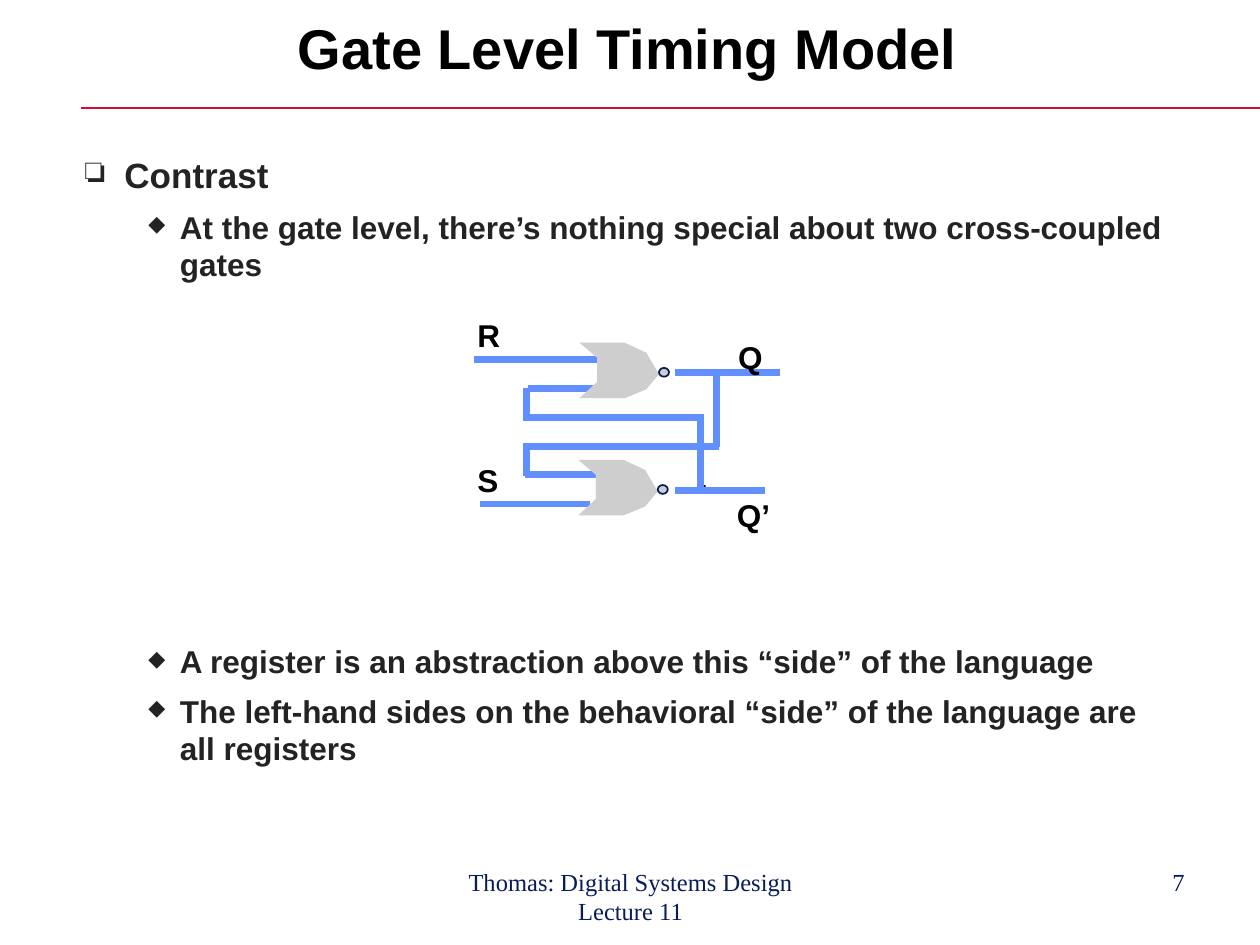
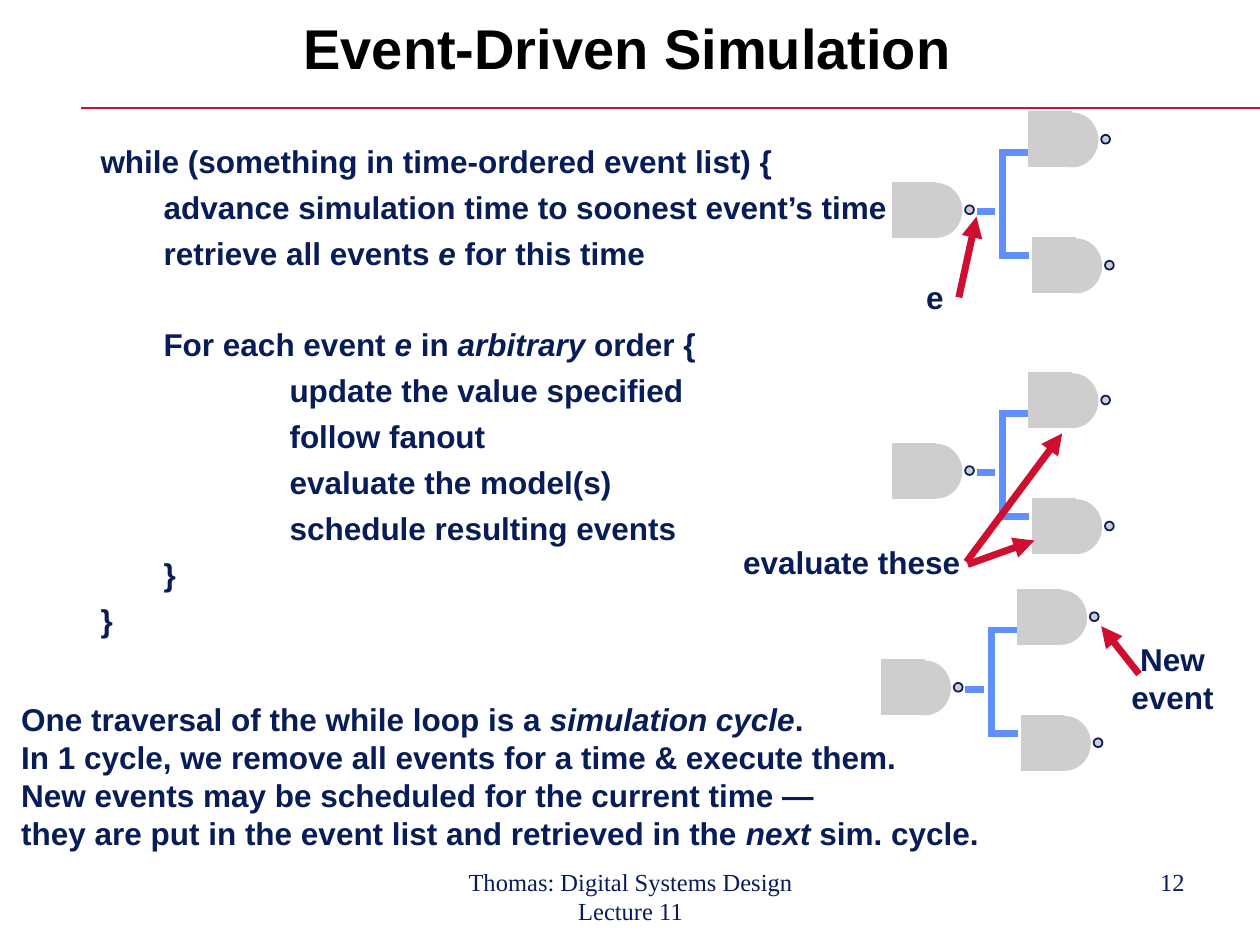
import lxml.etree
import pptx
import pptx.dml.color
import pptx.enum.shapes
import pptx.enum.text
import pptx.oxml.ns
import pptx.util

Inches = pptx.util.Inches
Pt = pptx.util.Pt
ALIGN = pptx.enum.text.PP_ALIGN
SHAPE = pptx.enum.shapes.MSO_SHAPE


class Theme:
    black, body, navy = "000000", "232323", "081D58"
    red, wire, gate = "CF0E30", "618FFD", "CECECE"
    title = dict(name="Arial", size=Pt(32), bold=True, color=black)
    heading = dict(name="Arial", size=Pt(20), bold=True, color=body)
    bullet = dict(name="Arial", size=Pt(18), bold=True, color=body)
    pin = dict(name="Arial", size=Pt(18), bold=True, color=black)
    note = dict(name="Arial", size=Pt(18), bold=True, color=navy)
    footer = dict(name="Times New Roman", size=Pt(14), bold=False, color=navy)
    thick, thin = 4, 1


FOOTER = "Thomas: Digital Systems Design Lecture 11"
FOOTER_BOX = (3.42, 6.83, 3.17, 0.52)
NUMBER_BOX = (7.17, 6.83, 2.33, 0.52)
TITLE_BOX = (0.68, 0.16, 8.6, 0.51)
TITLE_RULE = [(0.64, 0.86), (10, 0.86)]

CONTRAST_BOX = (0.58, 1.17, 8.83, 5.75)
CONTRAST = [
    ("heading", 0, "Contrast"),
    ("bullet", 6.8, "At the gate level, there’s nothing special about two cross-coupled gates"),
    ("bullet", 205, "A register is an abstraction above this “side” of the language"),
    ("bullet", 6.8, "The left-hand sides on the behavioral “side” of the language are all registers"),
]
BULLETS = {"heading": ("❏", 100, 0.31, 0.31), "bullet": ("◆", 70, 0.75, 0.25)}

PIN_SIZE = (0.65, 0.37)
LATCH_PINS = [
    ("R", (3.69, 2.49)),
    ("S", (3.69, 3.64)),
    ("Q", (5.76, 2.67)),
    ("Q’", (5.75, 3.92)),
]
LATCH_WIRES = [
    [(3.76, 2.85), (4.74, 2.85)],
    [(3.81, 4), (4.68, 4)],
    [(5.36, 2.96), (6.19, 2.96)],
    [(4.17, 3.77), (4.73, 3.77)],
    [(5.69, 2.98), (5.69, 3.55)],
    [(4.18, 3.55), (4.18, 3.78)],
    [(4.15, 3.54), (5.71, 3.54)],
    [(4.19, 3.08), (4.71, 3.08)],
    [(5.36, 3.89), (5.54, 3.89)],
    [(4.18, 3.08), (4.18, 3.31), (5.56, 3.31), (5.56, 3.89), (5.79, 3.89)],
    [(5.64, 3.89), (6.07, 3.89)],
]
LATCH_JOINT = (5.54, 3.85, 0.06, 0.06)
NOR_ORIGINS = [(4.6, 2.72), (4.59, 3.65)]
NOR_OUTLINE = [(0.36, 0), (0.53, 0.08), (0.63, 0.25), (0.53, 0.37), (0.36, 0.44),
               (0, 0.44), (0.14, 0.31), (0.14, 0.12), (0, 0)]
NOR_BUBBLE = (0.63, 0.2, 0.08, 0.07)

LOOP_BOX = (0.2, 1.11, 7.56, 4.17)
LOOP = [
    (0.5, 0, "while (something in time-ordered event list) {"),
    (1, 6.8, "advance simulation time to soonest event’s time"),
    (1, 6.8, "retrieve all events *e* for this time"),
    (1, 33, "For each event *e* in *arbitrary* order {"),
    (2, 6.8, "update the value specified"),
    (2, 6.8, "follow fanout"),
    (2, 6.8, "evaluate the model(s)"),
    (2, 6.8, "schedule resulting events"),
    (1, 6.8, "}"),
    (0.5, 6.8, "}"),
]
CYCLE_BOX = (0.07, 5.51, 9.82, 1.3)
CYCLE = [
    "One traversal of the while loop is a *simulation cycle*.",
    "In 1 cycle, we remove all events for a time & execute them.",
    "New events may be scheduled for the current time —",
    "they are put in the event list and retrieved in the *next* sim. cycle.",
]
FANOUT_ORIGINS = [(7.11, 0.91), (7.11, 2.98), (7.02, 4.7)]
FANOUT_NANDS = [(0, 0.56), (1.08, 0), (1.11, 1)]
FANOUT_WIRES = [
    [(1.06, 0.3), (0.85, 0.3), (0.85, 1.12), (1.06, 1.12)],
    [(0.64, 0.77), (0.79, 0.77)],
]
NAND_BACK = (0, 0, 0.29, 0.39)
NAND_FRONT = (0.14, 0.01, 0.36, 0.38)
NAND_BUBBLE = (0.55, 0.16, 0.07, 0.07)
CALLOUTS = [
    (["e"], (7.25, 2.16, 0.34, 0.4)),
    (["evaluate these"], (5.8, 4.26, 1.92, 0.4)),
    (["New", "event"], (8.88, 5.03, 0.85, 0.7)),
]
CALLOUT_ARROWS = [
    [(7.61, 2.36), (7.75, 1.72)],
    [(9.04, 5.35), (8.74, 4.97)],
    [(7.67, 4.46), (8.43, 3.44)],
    [(7.68, 4.48), (8.21, 4.29)],
]


def rgb(color):
    return pptx.dml.color.RGBColor.from_string(color)


def add_xml(parent, tag, **attributes):
    return lxml.etree.SubElement(parent, pptx.oxml.ns.qn(tag), attributes)


def apply(target, values):
    for name, value in values.items():
        setattr(target, name, value)


def shift(points, origin):
    return [(x + origin[0], y + origin[1]) for x, y in points]


def place(box, origin):
    return (box[0] + origin[0], box[1] + origin[1], *box[2:])


def write_paragraph(paragraph, text, style, **layout):
    apply(paragraph, layout)
    for index, part in enumerate(text.split("*")):
        if part:
            run = paragraph.add_run()
            run.text = part
            apply(run.font, {k: v for k, v in style.items() if k != "color"})
            run.font.color.rgb = rgb(style["color"])
            run.font.italic = index % 2 == 1


def add_frame(slide, box, wrap=True):
    frame = slide.shapes.add_textbox(*map(Inches, box)).text_frame
    frame.word_wrap = wrap
    return frame


def paragraphs(frame, count):
    return [frame.paragraphs[0]] + [frame.add_paragraph() for _ in range(count - 1)]


def add_text(slide, box, lines, style, wrap=True, **layout):
    frame = add_frame(slide, box, wrap)
    for paragraph, line in zip(paragraphs(frame, len(lines)), lines):
        write_paragraph(paragraph, line, style, **layout)


def indent(paragraph, left, hang=0):
    properties = paragraph._p.get_or_add_pPr()
    properties.set("marL", str(Inches(left)))
    properties.set("indent", str(-Inches(hang)))
    return properties


def add_bullet(paragraph, char, percent, left, hang):
    properties = indent(paragraph, left, hang)
    add_xml(add_xml(properties, "a:buClr"), "a:srgbClr", val=Theme.body)
    add_xml(properties, "a:buSzPct", val=str(percent * 1000))
    add_xml(properties, "a:buChar", char=char)


def add_line(slide, points, color, width, arrow=False):
    (x1, y1), (x2, y2) = points
    line = slide.shapes.add_connector(
        pptx.enum.shapes.MSO_CONNECTOR.STRAIGHT, *map(Inches, (x1, y1, x2, y2)))
    line.line.color.rgb = rgb(color)
    line.line.width = Pt(width)
    if arrow:
        add_xml(line.line._get_or_add_ln(), "a:tailEnd", type="triangle")
    add_xml(line._element.spPr, "a:effectLst")


def paint(shape, fill=None, line=None, width=Theme.thin):
    shape.shadow.inherit = False
    for part, color in ((shape.fill, fill), (shape.line.fill, line)):
        if color:
            part.solid()
            part.fore_color.rgb = rgb(color)
        else:
            part.background()
    if line:
        shape.line.width = Pt(width)
        add_xml(shape.line._get_or_add_ln(), "a:miter", lim="800000")


def add_outline(slide, points, closed, **colors):
    start, *rest = [(Inches(x), Inches(y)) for x, y in points]
    builder = slide.shapes.build_freeform(*start, scale=1.0)
    builder.add_line_segments(rest, close=closed)
    paint(builder.convert_to_shape(), **colors)


def add_preset(slide, kind, box, **colors):
    paint(slide.shapes.add_shape(kind, *map(Inches, box)), **colors)


def add_wire(slide, points):
    if len(points) == 2:
        add_line(slide, points, Theme.wire, Theme.thick)
    else:
        add_outline(slide, points, False, line=Theme.wire, width=Theme.thick)


def add_nor(slide, origin):
    add_outline(slide, shift(NOR_OUTLINE, origin), True, fill=Theme.gate)
    add_preset(slide, SHAPE.OVAL, place(NOR_BUBBLE, origin), fill=Theme.gate, line=Theme.navy)


def add_nand(slide, origin):
    for kind, box in ((SHAPE.RECTANGLE, NAND_BACK), (SHAPE.OVAL, NAND_FRONT)):
        add_preset(slide, kind, place(box, origin),
                   fill=Theme.gate, line=Theme.gate, width=Theme.thick)
    add_preset(slide, SHAPE.OVAL, place(NAND_BUBBLE, origin), fill=Theme.gate, line=Theme.navy)


def add_slide(deck, title, number):
    slide = deck.slides.add_slide(deck.slide_layouts[5])
    heading = slide.shapes.title
    apply(heading, dict(zip(("left", "top", "width", "height"), map(Inches, TITLE_BOX))))
    apply(heading.text_frame, dict(
        word_wrap=True,
        auto_size=pptx.enum.text.MSO_AUTO_SIZE.NONE,
        vertical_anchor=pptx.enum.text.MSO_ANCHOR.MIDDLE))
    write_paragraph(heading.text_frame.paragraphs[0], title, Theme.title,
                    alignment=ALIGN.CENTER, line_spacing=0.85)
    add_line(slide, TITLE_RULE, Theme.red, Theme.thin)
    add_text(slide, FOOTER_BOX, [FOOTER], Theme.footer, alignment=ALIGN.CENTER)
    add_text(slide, NUMBER_BOX, [str(number)], Theme.footer, alignment=ALIGN.RIGHT)
    return slide


def build_gate_level(deck):
    slide = add_slide(deck, "Gate Level Timing Model", 7)
    frame = add_frame(slide, CONTRAST_BOX)
    for paragraph, (role, gap, text) in zip(paragraphs(frame, len(CONTRAST)), CONTRAST):
        add_bullet(paragraph, *BULLETS[role])
        write_paragraph(paragraph, text, getattr(Theme, role), space_before=Pt(gap))
    add_preset(slide, SHAPE.RECTANGLE, LATCH_JOINT, fill=Theme.black)
    for wire in LATCH_WIRES:
        add_wire(slide, wire)
    for pin, corner in LATCH_PINS:
        add_text(slide, corner + PIN_SIZE, [pin], Theme.pin, line_spacing=0.9)
    for origin in NOR_ORIGINS:
        add_nor(slide, origin)


def build_event_driven(deck):
    slide = add_slide(deck, "Event-Driven Simulation", 12)
    for origin in FANOUT_ORIGINS:
        for wire in FANOUT_WIRES:
            add_wire(slide, shift(wire, origin))
        for nand in shift(FANOUT_NANDS, origin):
            add_nand(slide, nand)
    for arrow in CALLOUT_ARROWS:
        add_line(slide, arrow, Theme.red, Theme.thick, arrow=True)
    frame = add_frame(slide, LOOP_BOX)
    for paragraph, (left, gap, text) in zip(paragraphs(frame, len(LOOP)), LOOP):
        indent(paragraph, left)
        write_paragraph(paragraph, text, Theme.note, line_spacing=0.9, space_before=Pt(gap))
    add_text(slide, CYCLE_BOX, CYCLE, Theme.note)
    for lines, box in CALLOUTS:
        add_text(slide, box, lines, Theme.note, wrap=False, alignment=ALIGN.CENTER)


def main():
    deck = pptx.Presentation()
    deck.slide_width, deck.slide_height = Inches(10), Inches(7.5)
    build_gate_level(deck)
    build_event_driven(deck)
    deck.save("out.pptx")


if __name__ == "__main__":
    main()
